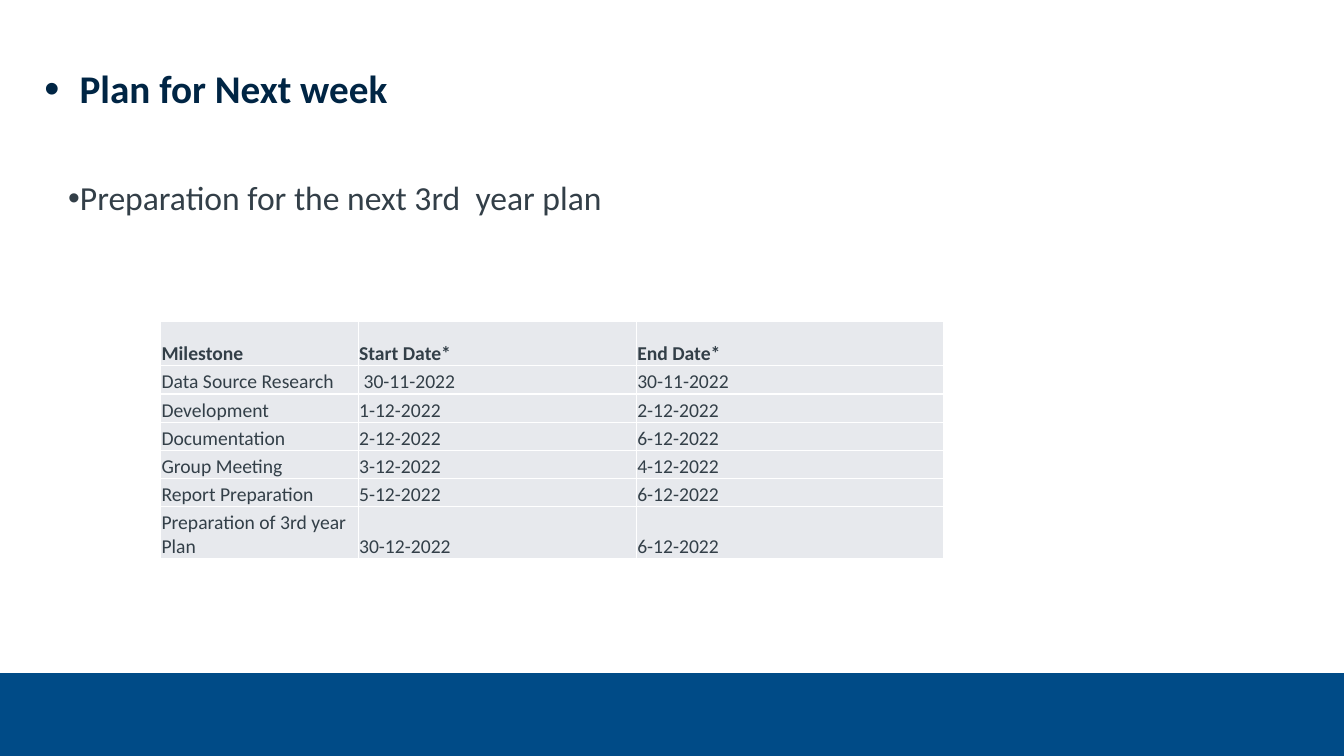
from lxml import etree
from pptx import Presentation
from pptx.dml.color import RGBColor
from pptx.enum.shapes import MSO_SHAPE
from pptx.enum.text import MSO_ANCHOR
from pptx.oxml.ns import qn
from pptx.util import Cm, Pt

RECTANGLE = MSO_SHAPE.RECTANGLE
BOTTOM = MSO_ANCHOR.BOTTOM

NAVY = RGBColor(0x00, 0x25, 0x44)
BLUE = RGBColor(0x00, 0x4B, 0x87)
SLATE = RGBColor(0x33, 0x3F, 0x48)
PALE_GREY = RGBColor(0xE7, 0xE9, 0xED)
WHITE = RGBColor(0xFF, 0xFF, 0xFF)
FONT = "Calibri"

MILESTONES = [
    ("Milestone", "Start Date*", "End Date*"),
    ("Data Source Research", " 30-11-2022", "30-11-2022"),
    ("Development", "1-12-2022", "2-12-2022"),
    ("Documentation", "2-12-2022", "6-12-2022"),
    ("Group Meeting", "3-12-2022", "4-12-2022"),
    ("Report Preparation", "5-12-2022", "6-12-2022"),
    ("Preparation of 3rd year Plan", "30-12-2022", "6-12-2022"),
]
COLUMN_WIDTHS = (4.98, 7.01, 7.75)
HEADER_HEIGHT, ROW_HEIGHT, LAST_HEIGHT = 1.12, 0.71, 1.3


def write(frame, text, size, color=SLATE, bold=False, margins=(0, 0, 0, 0)):
    """Write one formatted paragraph into a text frame or cell and return it."""
    (frame.margin_left, frame.margin_top,
     frame.margin_right, frame.margin_bottom) = (Cm(margin) for margin in margins)
    frame.word_wrap = True
    paragraph = getattr(frame, "text_frame", frame).paragraphs[0]
    run = paragraph.add_run()
    run.text = text
    run.font.name = FONT
    run.font.size = Pt(size)
    run.font.bold = bold
    run.font.color.rgb = color
    return paragraph


def add_bullet(paragraph, hanging=0, percent=100):
    """Give a paragraph a round bullet with a hanging indent in centimetres."""
    properties = paragraph._p.get_or_add_pPr()
    properties.set("marL", str(Cm(hanging)))
    properties.set("indent", str(-Cm(hanging)))
    etree.SubElement(properties, qn("a:buSzPct"), val=str(percent * 1000))
    etree.SubElement(properties, qn("a:buFont"), typeface="Arial")
    etree.SubElement(properties, qn("a:buChar"), char="•")


def add_footer_band(slide, left, top, width, height):
    """Draw the solid band along the foot of the slide."""
    band = slide.shapes.add_shape(RECTANGLE, left, top, width, height)
    band.shadow.inherit = False
    band.fill.solid()
    band.fill.fore_color.rgb = BLUE
    band.line.fill.background()


def add_heading(slide, left, top, width, height):
    """Place the bulleted slide heading."""
    heading = slide.shapes.add_textbox(left, top, width, height)
    paragraph = write(heading.text_frame, "Plan for Next week", 28, color=NAVY, bold=True)
    add_bullet(paragraph, hanging=0.89, percent=110)


def add_objective(slide, left, top, width, height):
    """Place the bulleted objective below the heading."""
    objective = slide.shapes.add_textbox(left, top, width, height)
    paragraph = write(objective.text_frame, "Preparation for the next 3rd  year plan", 24,
                      margins=(0.25, 0.13, 0.25, 0.13))
    add_bullet(paragraph)


def add_cell_borders(cell):
    """Draw a thin white line on every side of a cell."""
    properties = cell._tc.get_or_add_tcPr()
    for side in ("lnL", "lnR", "lnT", "lnB"):
        border = etree.SubElement(properties, qn(f"a:{side}"), w=str(Pt(1)))
        fill = etree.SubElement(border, qn("a:solidFill"))
        etree.SubElement(fill, qn("a:srgbClr"), val=str(WHITE))


def add_schedule(slide, left, top, width, height):
    """Place the milestone table with its start and end dates."""
    schedule = slide.shapes.add_table(
        len(MILESTONES), len(COLUMN_WIDTHS), left, top, width, height).table
    for column, column_width in zip(schedule.columns, COLUMN_WIDTHS):
        column.width = Cm(column_width)
    middle_rows = [ROW_HEIGHT] * (len(MILESTONES) - 2)
    for row, row_height in zip(schedule.rows, [HEADER_HEIGHT, *middle_rows, LAST_HEIGHT]):
        row.height = Cm(row_height)
    for row_index, milestone in enumerate(MILESTONES):
        for column_index, text in enumerate(milestone):
            cell = schedule.cell(row_index, column_index)
            write(cell, text, 14, bold=row_index == 0, margins=(0.02, 0.02, 0.02, 0))
            cell.vertical_anchor = BOTTOM
            add_cell_borders(cell)
            cell.fill.solid()
            cell.fill.fore_color.rgb = PALE_GREY


def main():
    """Build the weekly plan slide and save it."""
    deck = Presentation()
    deck.slide_width, deck.slide_height = Cm(33.87), Cm(19.05)
    slide = deck.slides.add_slide(deck.slide_layouts[6])
    band_top = Cm(16.96)
    add_footer_band(slide, 0, band_top, deck.slide_width, deck.slide_height - band_top)
    add_objective(slide, Cm(1.47), Cm(4.34), Cm(28.78), Cm(2.31))
    add_heading(slide, Cm(1.12), Cm(1.63), Cm(30.45), Cm(1.2))
    add_schedule(slide, Cm(4.05), Cm(8.1), Cm(19.74), Cm(5.97))
    deck.save("out.pptx")


if __name__ == "__main__":
    main()
